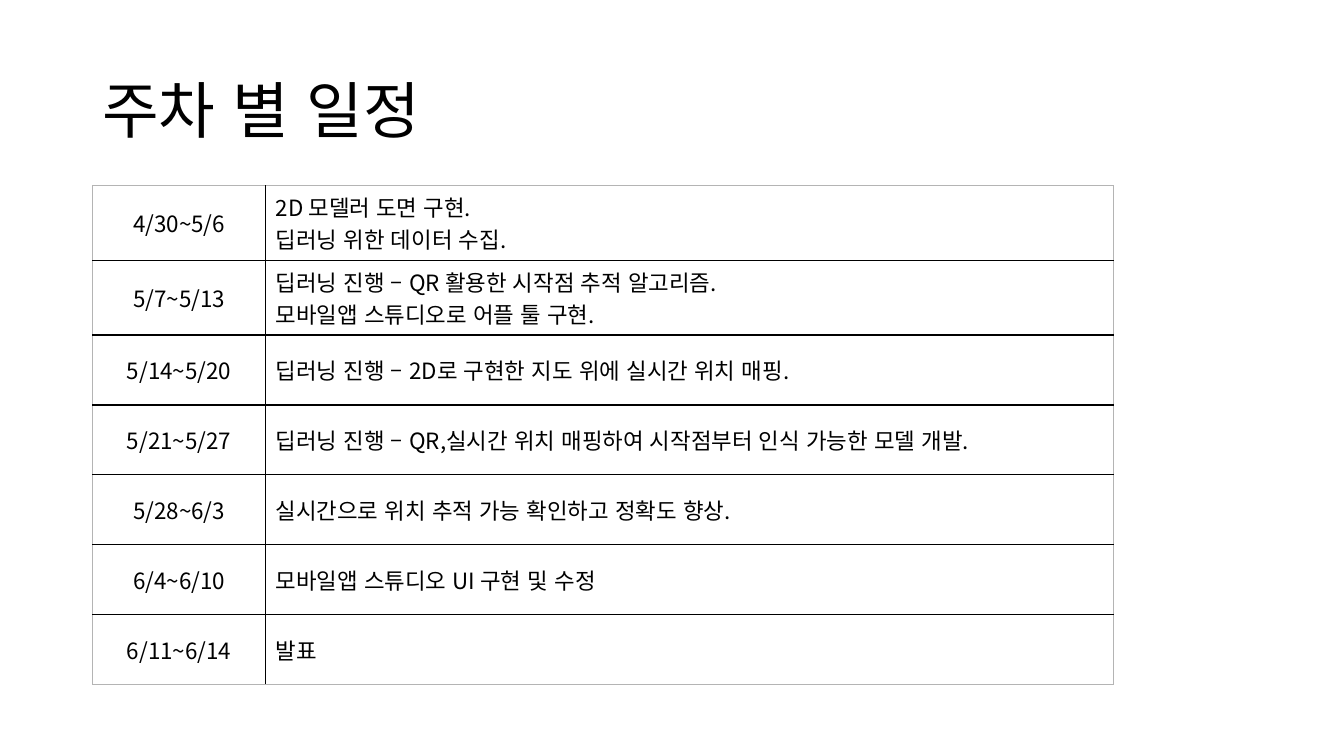
from dataclasses import dataclass

from lxml import etree
from pptx import Presentation
from pptx.dml.color import RGBColor
from pptx.enum.lang import MSO_LANGUAGE_ID
from pptx.enum.text import MSO_ANCHOR, PP_ALIGN
from pptx.oxml.ns import qn
from pptx.util import Pt

MIDDLE = MSO_ANCHOR.MIDDLE
LEFT = PP_ALIGN.LEFT
CENTER = PP_ALIGN.CENTER
KOREAN = MSO_LANGUAGE_ID.KOREAN
BLANK_LAYOUT = 6


@dataclass(frozen=True)
class Theme:
    font: str = "Noto Sans CJK KR"
    ink: str = "000000"
    frame: str = "B4B4B4"
    title_size: float = 44
    body_size: float = 16
    border_width: float = 1
    frame_width: float = 0.5


THEME = Theme()

TITLE = "주차 별 일정"
SCHEDULE = [
    ("4/30~5/6", ["2D 모델러 도면 구현.", "딥러닝 위한 데이터 수집."]),
    ("5/7~5/13", ["딥러닝 진행 – QR 활용한 시작점 추적 알고리즘.",
                  "모바일앱 스튜디오로 어플 툴 구현."]),
    ("5/14~5/20", ["딥러닝 진행 – 2D로 구현한 지도 위에 실시간 위치 매핑."]),
    ("5/21~5/27", ["딥러닝 진행 – QR,실시간 위치 매핑하여 시작점부터 인식 가능한 모델 개발."]),
    ("5/28~6/3", ["실시간으로 위치 추적 가능 확인하고 정확도 향상."]),
    ("6/4~6/10", ["모바일앱 스튜디오 UI 구현 및 수정"]),
    ("6/11~6/14", ["발표"]),
]
COLUMN_WIDTHS = (123.8, 605.6)
ROW_HEIGHTS = {1: 50, 2: 53.4}  # by number of text lines


def write_text(frame, lines, size=THEME.body_size, align=LEFT, line_spacing=None):
    """Fill a text frame with one paragraph per line."""
    for index, line in enumerate(lines):
        para = frame.paragraphs[0] if index == 0 else frame.add_paragraph()
        para.alignment = align
        para.line_spacing = line_spacing
        span = para.add_run()
        span.text = line
        span.font.size = Pt(size)
        span.font.name = THEME.font
        span.font.language_id = KOREAN
        span.font.color.rgb = RGBColor.from_string(THEME.ink)
        properties = span.font._element
        properties.set("kern", "0")
        etree.SubElement(properties, qn("a:ea"), typeface=THEME.font)


def add_title(page, text):
    box = page.shapes.add_textbox(Pt(66), Pt(28.8), Pt(828), Pt(104.4))
    box.text_frame.word_wrap = True
    box.text_frame.vertical_anchor = MIDDLE
    write_text(box.text_frame, [text], size=THEME.title_size, line_spacing=0.9)


def add_borders(cell, outer_sides):
    properties = cell._tc.get_or_add_tcPr()
    for side in ("lnL", "lnR", "lnT", "lnB"):
        outer = side in outer_sides
        width = THEME.frame_width if outer else THEME.border_width
        line = etree.SubElement(properties, qn(f"a:{side}"), w=str(Pt(width)))
        fill = etree.SubElement(line, qn("a:solidFill"))
        etree.SubElement(fill, qn("a:srgbClr"),
                         val=THEME.frame if outer else THEME.ink)


def fill_cell(cell, lines, outer_sides, align=LEFT):
    cell.vertical_anchor = MIDDLE
    add_borders(cell, outer_sides)
    cell.fill.background()
    write_text(cell.text_frame, lines, align=align)


def add_schedule(page, schedule):
    heights = [ROW_HEIGHTS[len(tasks)] for _, tasks in schedule]
    frame = page.shapes.add_table(
        len(schedule), len(COLUMN_WIDTHS), Pt(66), Pt(132.5),
        Pt(sum(COLUMN_WIDTHS)), Pt(sum(heights)))
    table = frame.table
    table.first_row = False
    table.horz_banding = False
    for column, width in zip(table.columns, COLUMN_WIDTHS):
        column.width = Pt(width)
    edges = {0: ["lnT"], len(schedule) - 1: ["lnB"]}
    for index, (week, tasks) in enumerate(schedule):
        table.rows[index].height = Pt(heights[index])
        edge = edges.get(index, [])
        fill_cell(table.cell(index, 0), [week], edge + ["lnL"], align=CENTER)
        fill_cell(table.cell(index, 1), tasks, edge + ["lnR"])


def main():
    deck = Presentation()
    deck.slide_width = Pt(960)
    deck.slide_height = Pt(540)
    page = deck.slides.add_slide(deck.slide_layouts[BLANK_LAYOUT])

    # Heading
    add_title(page, TITLE)

    # Weekly schedule
    add_schedule(page, SCHEDULE)

    deck.save("out.pptx")


if __name__ == "__main__":
    main()
